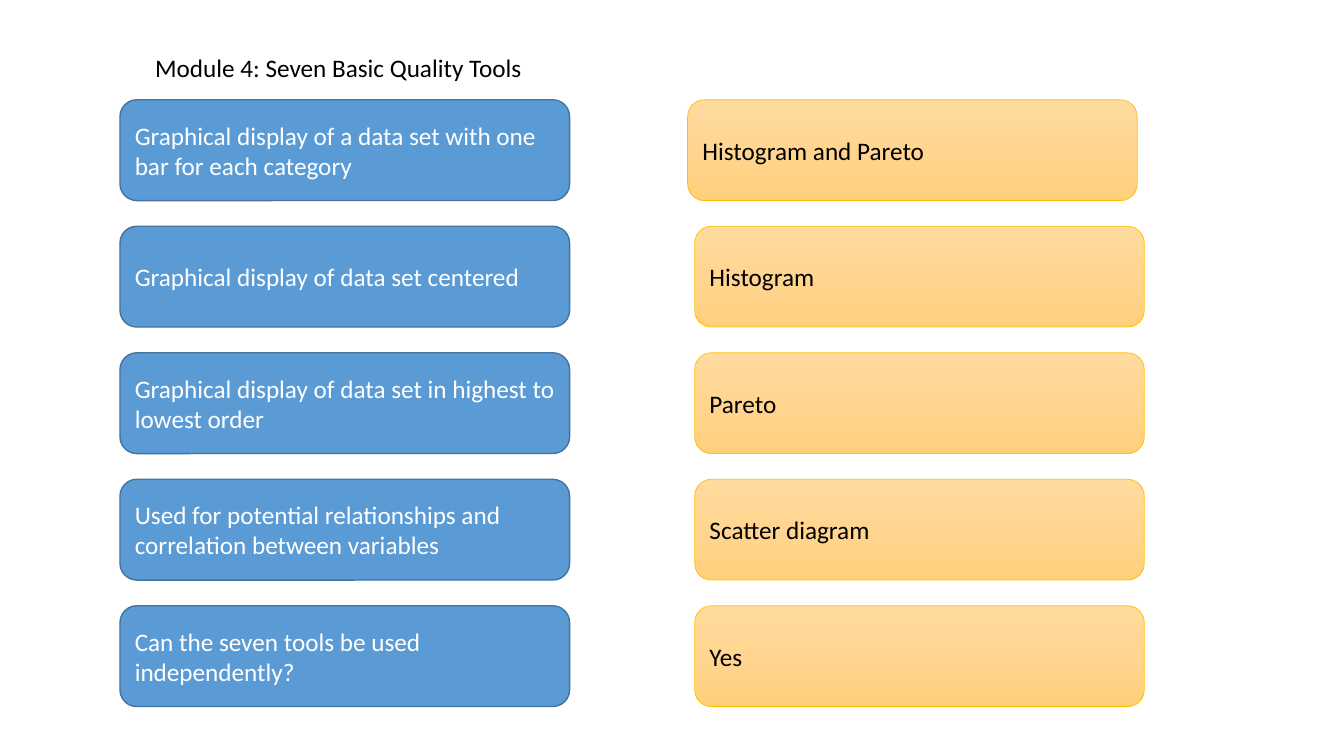
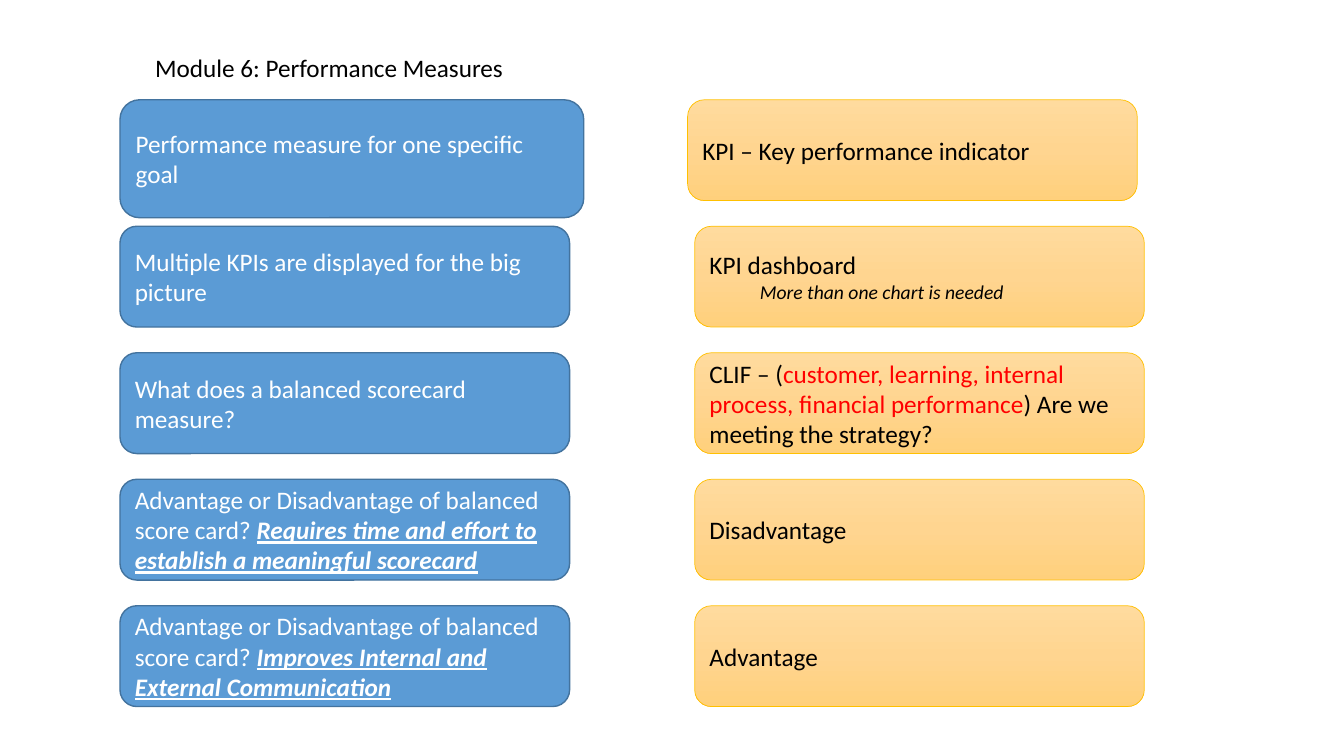
from copy import deepcopy

from pptx import Presentation
from pptx.dml.color import RGBColor
from pptx.enum.shapes import MSO_SHAPE as Shape
from pptx.enum.text import MSO_ANCHOR as Anchor, MSO_AUTO_SIZE as AutoSize, PP_ALIGN as Align
from pptx.oxml.ns import qn
from pptx.util import Inches, Pt

WHITE = RGBColor(0xFF, 0xFF, 0xFF)
BLACK = RGBColor(0x00, 0x00, 0x00)
RED = RGBColor(0xFF, 0x00, 0x00)
BLUE = RGBColor(0x5B, 0x9B, 0xD5)
BLUE_EDGE = RGBColor(0x43, 0x73, 0x9E)
GOLD_EDGE = RGBColor(0xFF, 0xC0, 0x00)
GOLD_STOPS = (
    (0, RGBColor(0xFF, 0xDB, 0x9E)),
    (0.5, RGBColor(0xFF, 0xD5, 0x90)),
    (1, RGBColor(0xFF, 0xD0, 0x7C)),
)

FONT = "Calibri"
TEXT_SIZE, NOTE_SIZE = 18, 14
CARD_SIZE = (4.46, 1)
QUESTION_LEFT, ANSWER_LEFT, FIRST_ANSWER_LEFT = 1.19, 6.89, 6.82
FIRST_TOP, LAST_TOP, ROWS = 0.99, 6.01, 5
ROW_STEP = (LAST_TOP - FIRST_TOP) / (ROWS - 1)

EMPHASIS = {"bold": True, "italic": True, "underline": True}
NOTE = {"size": NOTE_SIZE, "italic": True}


class CardDeck:
    """Holds the shared style and the slide being filled."""

    def __init__(self):
        self.deck = Presentation()
        self.deck.slide_width, self.deck.slide_height = Inches(13.33), Inches(7.5)
        self.page = None

    def add_page(self, title, title_width):
        self.page = self.deck.slides.add_slide(self.deck.slide_layouts[6])
        box = self.page.shapes.add_textbox(
            Inches(1.44), Inches(0.47), Inches(title_width), Inches(0.4))
        box.text_frame.word_wrap = False
        box.text_frame.auto_size = AutoSize.SHAPE_TO_FIT_TEXT
        self.add_lines(box.text_frame, [title], BLACK)

    def add_lines(self, frame, lines, color):
        """Add each line, given as a string or a list of strings and (text, font changes)."""
        for number, line in enumerate(lines):
            para = frame.add_paragraph() if number else frame.paragraphs[0]
            para.alignment = Align.LEFT
            para.font.name, para.font.size = FONT, Pt(TEXT_SIZE)
            para.font.color.rgb = color
            for part in [line] if isinstance(line, str) else line:
                text, changes = (part, {}) if isinstance(part, str) else part
                self.add_span(para, text, **changes)

    def add_span(self, para, text, size=None, color=None, bold=None, italic=None, underline=None):
        span = para.add_run()
        span.text = text
        font = span.font
        font.bold, font.italic, font.underline = bold, italic, underline
        if size:
            font.size = Pt(size)
        if color is not None:
            font.color.rgb = color

    def card(self, row, left, size, lines, color, edge, edge_width):
        width, height = size
        box = self.page.shapes.add_shape(
            Shape.ROUNDED_RECTANGLE, Inches(left), Inches(FIRST_TOP + row * ROW_STEP),
            Inches(width), Inches(height))
        box.shadow.inherit = False
        box.line.color.rgb, box.line.width = edge, Pt(edge_width)
        box.text_frame.word_wrap = True
        box.text_frame.vertical_anchor = Anchor.MIDDLE
        self.add_lines(box.text_frame, lines, color)
        return box

    def question(self, row, lines, size):
        box = self.card(row, QUESTION_LEFT, size, lines, WHITE, BLUE_EDGE, 1)
        box.fill.solid()
        box.fill.fore_color.rgb = BLUE

    def answer(self, row, lines):
        left = ANSWER_LEFT if row else FIRST_ANSWER_LEFT
        box = self.card(row, left, CARD_SIZE, lines, BLACK, GOLD_EDGE, 0.5)
        box.fill.gradient()
        box.fill.gradient_angle = 270
        first_stop = box.element.spPr.find(".//" + qn("a:gs"))
        first_stop.addnext(deepcopy(first_stop))
        for stop, (position, color) in zip(box.fill.gradient_stops, GOLD_STOPS):
            stop.position, stop.color.rgb = position, color

    def add_quiz(self, title, title_width, pairs, first_size=CARD_SIZE):
        self.add_page(title, title_width)
        for row, (question, answer) in enumerate(pairs):
            self.question(row, question, CARD_SIZE if row else first_size)
            self.answer(row, answer)


QUALITY_TOOLS = [
    (["Graphical display of a data set with one bar for each category"],
     ["Histogram and Pareto"]),
    (["Graphical display of data set centered"], ["Histogram"]),
    (["Graphical display of data set in highest to lowest order"], ["Pareto"]),
    (["Used for potential relationships and correlation between variables"],
     ["Scatter diagram"]),
    (["Can the seven tools be used independently?"], ["Yes"]),
]

SCORECARD_QUESTION = "Advantage or Disadvantage of balanced score card? "
PERFORMANCE_MEASURES = [
    (["Performance measure for one specific goal"], ["KPI – Key performance indicator"]),
    (["Multiple KPIs are displayed for the big picture"],
     ["KPI dashboard", [("\tMore than one chart is needed", NOTE)]]),
    (["What does a balanced scorecard measure?"],
     [["CLIF – (",
       ("customer, learning, internal process, financial performance", {"color": RED}),
       ") Are we meeting the strategy?"]]),
    ([[SCORECARD_QUESTION,
       ("Requires time and effort to establish a meaningful scorecard", EMPHASIS)]],
     ["Disadvantage"]),
    ([[SCORECARD_QUESTION, ("Improves Internal and External Communication", EMPHASIS)]],
     ["Advantage"]),
]


def main():
    cards = CardDeck()
    cards.add_quiz("Module 4: Seven Basic Quality Tools", 3.88, QUALITY_TOOLS)
    cards.add_quiz("Module 6: Performance Measures", 3.69, PERFORMANCE_MEASURES,
                   first_size=(4.6, 1.17))
    cards.deck.save("out.pptx")


if __name__ == "__main__":
    main()
